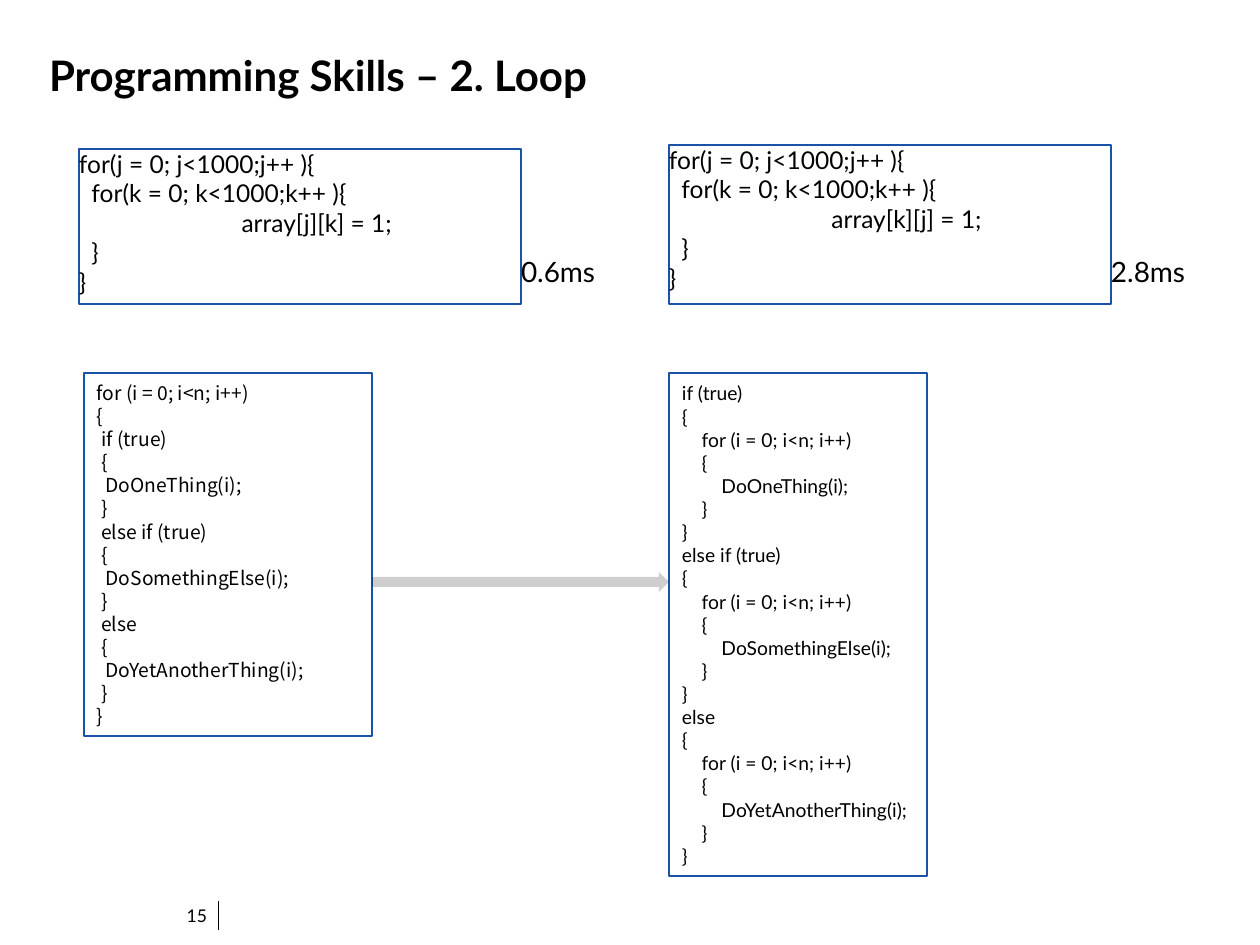
from dataclasses import dataclass

from lxml import etree
from pptx import Presentation
from pptx.dml.color import RGBColor
from pptx.enum.shapes import MSO_CONNECTOR, MSO_SHAPE
from pptx.enum.text import MSO_ANCHOR, MSO_AUTO_SIZE, PP_ALIGN
from pptx.oxml.ns import qn
from pptx.util import Emu, Pt

RECT = MSO_SHAPE.RECTANGLE
ARROW = MSO_SHAPE.RIGHT_ARROW
LINE = MSO_CONNECTOR.STRAIGHT
TOP, MID = MSO_ANCHOR.TOP, MSO_ANCHOR.MIDDLE
LEFT, RIGHT = PP_ALIGN.LEFT, PP_ALIGN.RIGHT
FIXED = MSO_AUTO_SIZE.NONE
SCALE = 914400 / 126
TAB = 150


@dataclass(frozen=True)
class Theme:
    ink: RGBColor = RGBColor(0, 0, 0)
    edge: RGBColor = RGBColor(0x19, 0x52, 0xA6)
    arrow: RGBColor = RGBColor(0x0D, 0x0D, 0x0D)
    font: str = "Lato"
    alt: str = "Noto Sans CJK JP"
    title: int = 24
    time: int = 16
    loop: int = 14
    code: int = 11
    page: int = 10


THEME = Theme()

LOOP = """for(j = 0; j<1000;j++ ){{
  for(k = 0; k<1000;k++ ){{
\t  array{index} = 1;
  }}
}}"""

BEFORE = """for (i = 0; i<n; i++)
{
 if (true)
 {
  DoOneThing(i);
 }
 else if (true)
 {
  DoSomethingElse(i);
 }
 else
 {
  DoYetAnotherThing(i);
 }
}"""

BRANCH = """{head}
{{
    for (i = 0; i<n; i++)
    {{
        {call}(i);
    }}
}}"""

CASES = [
    ("if (true)", "DoOneThing"),
    ("else if (true)", "DoSomethingElse"),
    ("else", "DoYetAnotherThing"),
]


def px(num):
    return Emu(round(num * SCALE))


def place(*nums):
    return [px(num) for num in nums]


def add_tab(para):
    tabs = etree.SubElement(para._p.get_or_add_pPr(), qn("a:tabLst"))
    etree.SubElement(tabs, qn("a:tab"), pos=str(px(TAB)), algn="l")


def write(shape, text, size, font=THEME.font, bold=False, align=LEFT,
          anchor=TOP, pad=(0, 0), lead=None):
    frame = shape.text_frame
    frame.word_wrap = True
    frame.auto_size = FIXED
    frame.vertical_anchor = anchor
    frame.margin_left = frame.margin_right = px(pad[0])
    frame.margin_top = frame.margin_bottom = px(pad[1])
    for num, line in enumerate(text.split("\n")):
        para = frame.add_paragraph() if num else frame.paragraphs[0]
        para.alignment = align
        if lead:
            para.line_spacing = Pt(lead)
        if "\t" in line:
            add_tab(para)
        run = para.add_run()
        run.text = line
        run.font.name = font
        run.font.size = Pt(size)
        run.font.bold = bold
        run.font.color.rgb = THEME.ink


def add_title(slide, text):
    title = slide.shapes.title
    title.left, title.top, title.width, title.height = place(49, 49, 1160, 74)
    write(title, text, THEME.title, bold=True)


def add_text(slide, box, text, size, **style):
    write(slide.shapes.add_textbox(*place(*box)), text, size, **style)


def add_frame(slide, box, text, size, **style):
    frame = slide.shapes.add_shape(RECT, *place(*box))
    frame.shadow.inherit = False
    frame.fill.background()
    frame.line.color.rgb = THEME.edge
    frame.line.width = Pt(0.75)
    write(frame, text, size, **style)


def add_code(slide, box, text, font):
    add_frame(slide, box, text, THEME.code, font=font, anchor=MID,
              pad=(13, 6), lead=THEME.code * 1.2)


def add_arrow(slide, box):
    arrow = slide.shapes.add_shape(ARROW, *place(*box))
    arrow.shadow.inherit = False
    arrow.line.fill.background()
    arrow.fill.solid()
    arrow.fill.fore_color.rgb = THEME.arrow
    tint = arrow._element.spPr.find(qn("a:solidFill"))[0]
    etree.SubElement(tint, qn("a:alpha"), val="20000")


def add_page(slide, text):
    rule = slide.shapes.add_connector(LINE, *place(218, 901, 218, 930))
    rule.line.color.rgb = THEME.ink
    rule.line.width = Pt(0.25)
    etree.SubElement(rule._element.spPr, qn("a:effectLst"))
    add_text(slide, (173, 902, 34, 28), text, THEME.page,
             align=RIGHT, anchor=MID)


def main():
    deck = Presentation()
    deck.slide_width, deck.slide_height = place(1260, 945)
    slide = deck.slides.add_slide(deck.slide_layouts[5])
    add_page(slide, "15")
    add_title(slide, "Programming Skills – 2. Loop")
    loops = [(79, 149, "[j][k]", "0.6ms"), (669, 145, "[k][j]", "2.8ms")]
    for left, top, index, time in loops:
        add_frame(slide, (left, top, 442, 304 - top),
                  LOOP.format(index=index), THEME.loop)
        add_text(slide, (left + 442, 255, 118, 49), time, THEME.time)
    after = "\n".join(BRANCH.format(head=head, call=call)
                      for head, call in CASES)
    add_code(slide, (84, 373, 288, 363), BEFORE, THEME.alt)
    add_code(slide, (669, 373, 258, 503), after, THEME.font)
    add_arrow(slide, (372, 572, 297, 20))
    deck.save("out.pptx")


if __name__ == "__main__":
    main()
